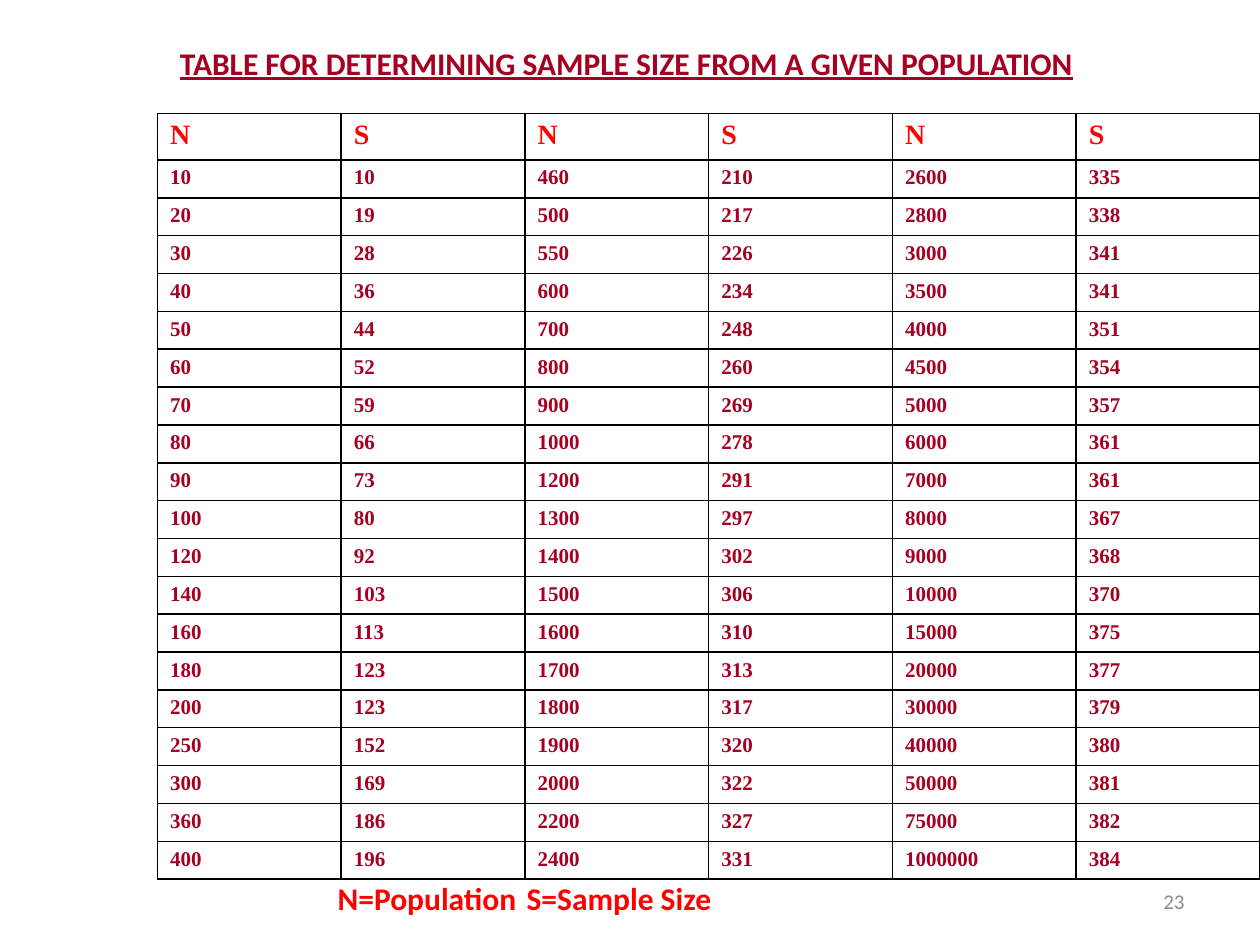
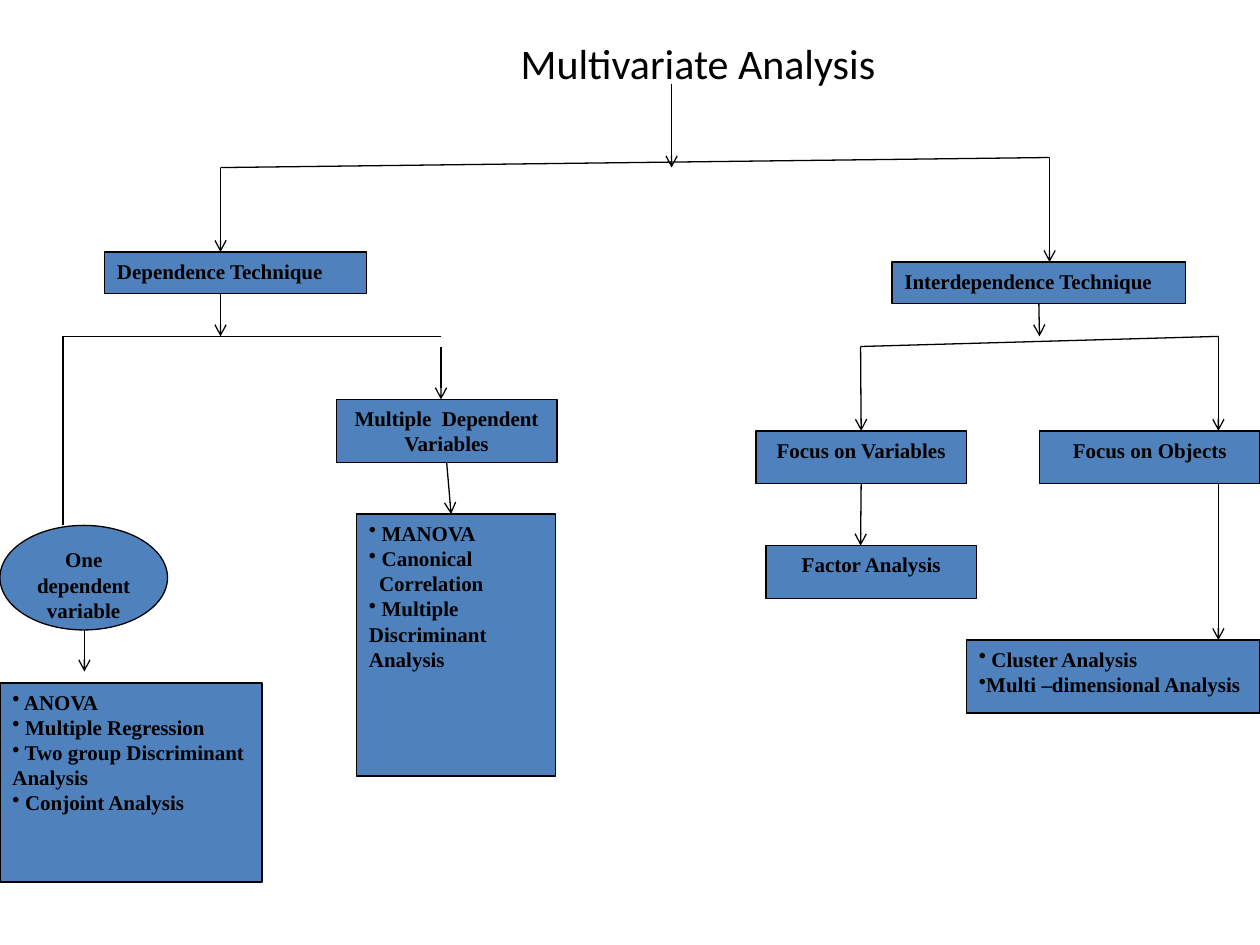
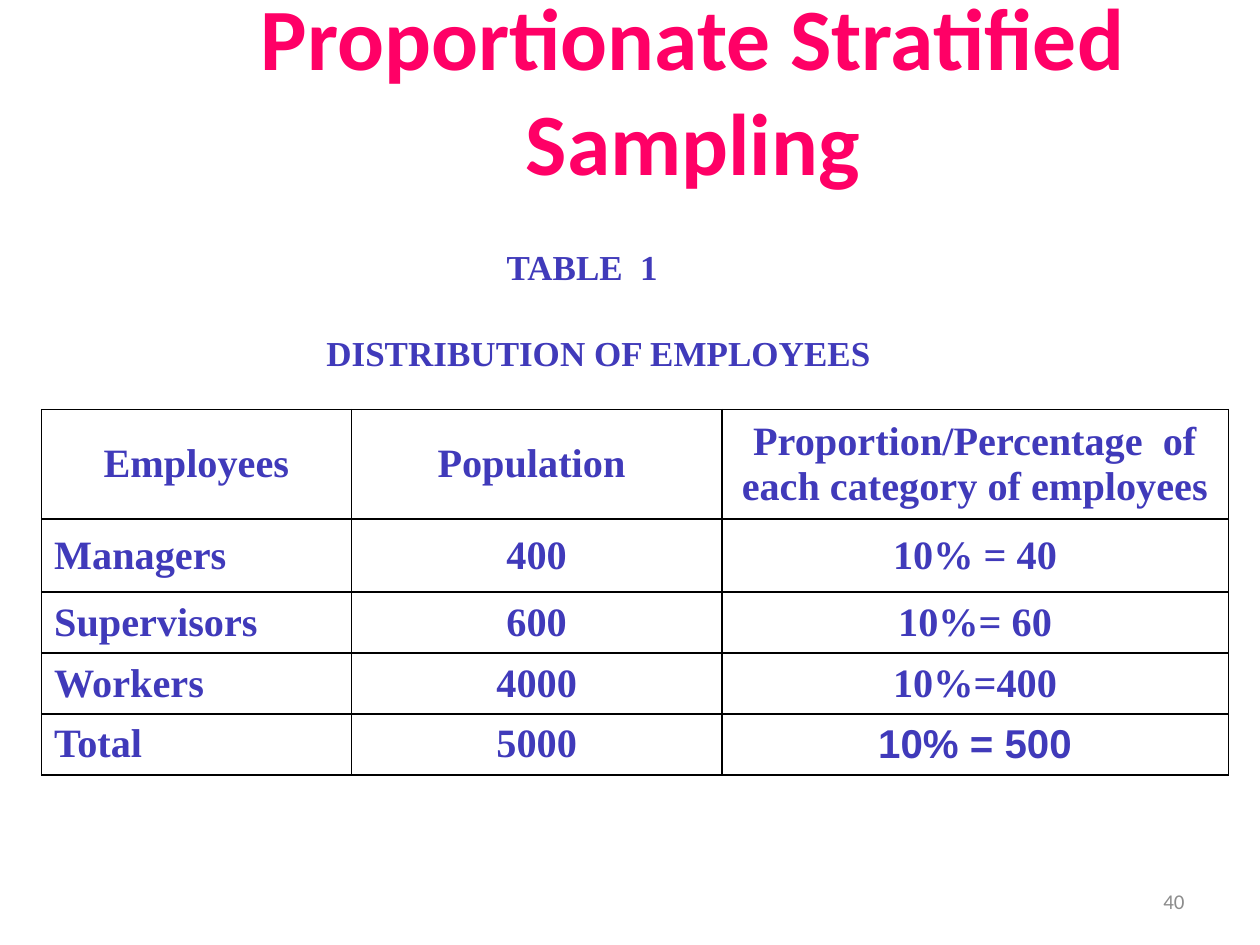
"""Build three research-methods slides: sample sizes, analysis tree, stratified sampling."""
from dataclasses import dataclass

from lxml import etree
from pptx import Presentation
from pptx.dml.color import RGBColor
from pptx.enum.shapes import MSO_CONNECTOR, MSO_SHAPE
from pptx.enum.text import MSO_ANCHOR, PP_ALIGN
from pptx.oxml.ns import qn
from pptx.util import Inches, Pt

LEFT, CENTER, RIGHT = PP_ALIGN.LEFT, PP_ALIGN.CENTER, PP_ALIGN.RIGHT
TOP, MIDDLE, BOTTOM = MSO_ANCHOR.TOP, MSO_ANCHOR.MIDDLE, MSO_ANCHOR.BOTTOM
RECTANGLE, OVAL = MSO_SHAPE.RECTANGLE, MSO_SHAPE.OVAL
STRAIGHT = MSO_CONNECTOR.STRAIGHT
TOP_SIDE, BOTTOM_SIDE = 0, 2


@dataclass(frozen=True)
class Theme:
    """Colours, fonts, type sizes and line widths of the slides."""

    black: str = "000000"
    white: str = "FFFFFF"
    gray: str = "8C8C8C"
    crimson: str = "A50021"
    red: str = "FF0000"
    pink: str = "FF0066"
    indigo: str = "403ABA"
    blue: str = "4F81BD"
    sans: str = "Calibri"
    serif: str = "Times New Roman"
    plain: str = "Arial"
    small: int = 12
    column_head: int = 16
    heading: int = 18
    caption: int = 20
    table_body: int = 23
    diagram_title: int = 24
    display: int = 50
    line_width: float = 0.75
    border_width: float = 1


THEME = Theme()


def rgb(color):
    """Return the colour object for a hex string."""
    return RGBColor.from_string(color)


def add_child(parent, tag, **attributes):
    """Append a DrawingML element and return it."""
    return etree.SubElement(parent, qn(tag), attributes)


def write(frame, text, font=THEME.sans, size=THEME.small, color=THEME.black, bold=False,
          underline=False, align=LEFT, anchor=TOP, wrap=True, margin_left=0.1,
          indents=None, space_after=0, tab=None):
    """Write lines into a text frame; a leading bullet sign makes a list item."""
    frame.word_wrap = wrap
    frame.vertical_anchor = anchor
    frame.margin_left = Inches(margin_left)
    for index, line in enumerate(text.split("\n")):
        paragraph = frame.paragraphs[0] if index == 0 else frame.add_paragraph()
        paragraph.alignment = align
        paragraph.space_after = Pt(space_after)
        properties = paragraph._p.get_or_add_pPr()
        properties.set("marL", str(Inches((indents or {}).get(index, 0))))
        properties.set("indent", "0")
        if line.startswith("•"):
            add_child(properties, "a:buChar", char="•")
        if tab:
            stops = add_child(properties, "a:tabLst")
            add_child(stops, "a:tab", pos=str(Inches(tab)), algn="l")
        run = paragraph.add_run()
        run.text = line.removeprefix("•")
        run.font.name = font
        run.font.size = Pt(size)
        run.font.bold = bold
        run.font.underline = underline
        run.font.color.rgb = rgb(color)


class Deck:
    """Holds the presentation, its theme and the slide being built."""

    def __init__(self, theme):
        """Start an empty presentation of 10 by 7.5 inches."""
        self.theme = theme
        self.presentation = Presentation()
        self.presentation.slide_width = Inches(10)
        self.presentation.slide_height = Inches(7.5)
        self.slide = None

    def new_slide(self, number=None):
        """Add a blank slide, with a page number if one is given."""
        self.slide = self.presentation.slides.add_slide(self.presentation.slide_layouts[6])
        if number:
            self.text((7.17, 6.95, 2.33, 0.4), number, color=self.theme.gray,
                      align=RIGHT, anchor=MIDDLE)

    def text(self, bounds, text, fill=None, **text_format):
        """Add a text box."""
        shape = self.slide.shapes.add_textbox(*map(Inches, bounds))
        if fill:
            shape.fill.solid()
            shape.fill.fore_color.rgb = rgb(fill)
        write(shape.text_frame, text, **text_format)

    def node(self, bounds, text, kind=RECTANGLE, **text_format):
        """Add a filled diagram node and return it."""
        shape = self.slide.shapes.add_shape(kind, *map(Inches, bounds))
        shape.shadow.inherit = False
        shape.fill.solid()
        shape.fill.fore_color.rgb = rgb(self.theme.blue)
        shape.line.color.rgb = rgb(self.theme.black)
        shape.line.width = Pt(self.theme.line_width)
        write(shape.text_frame, text, font=self.theme.serif, bold=True, **text_format)
        return shape

    def line(self, start, end, arrow=True, begin=None, finish=None):
        """Add a straight line, joined to (shape, site) pairs where given."""
        connector = self.slide.shapes.add_connector(STRAIGHT, *map(Inches, start + end))
        if begin:
            connector.begin_connect(*begin)
        if finish:
            connector.end_connect(*finish)
        connector.line.color.rgb = rgb(self.theme.black)
        connector.line.width = Pt(self.theme.line_width)
        if arrow:
            add_child(connector.line._get_or_add_ln(), "a:tailEnd", type="arrow")
        add_child(connector._element.spPr, "a:effectLst")

    def table(self, left, top, widths, heights, rows, cell_format):
        """Add a ruled table; cell_format gives the text format by row and column."""
        frame = self.slide.shapes.add_table(
            len(rows), len(widths), Inches(left), Inches(top),
            Inches(sum(widths)), Inches(sum(heights)))
        table = frame.table
        table.first_row = table.horz_banding = False
        for column, width in zip(table.columns, widths):
            column.width = Inches(width)
        for row, height in zip(table.rows, heights):
            row.height = Inches(height)
        for row_index, values in enumerate(rows):
            for column_index, value in enumerate(values):
                cell = table.cell(row_index, column_index)
                text_format = {"font": self.theme.serif, "bold": True,
                               **cell_format(row_index, column_index)}
                cell.vertical_anchor = text_format.pop("anchor", TOP)
                write(cell.text_frame, value, anchor=cell.vertical_anchor, **text_format)
                self.rule(cell)
                cell.fill.solid()
                cell.fill.fore_color.rgb = rgb(self.theme.white)

    def rule(self, cell):
        """Draw the four borders of a table cell."""
        properties = cell._tc.get_or_add_tcPr()
        for side in ("a:lnL", "a:lnR", "a:lnT", "a:lnB"):
            border = add_child(properties, side, w=str(Pt(self.theme.border_width)))
            add_child(add_child(border, "a:solidFill"), "a:srgbClr", val=self.theme.black)


SAMPLE_COLUMNS = (
    "N 10 20 30 40 50 60 70 80 90 100 120 140 160 180 200 250 300 360 400",
    "S 10 19 28 36 44 52 59 66 73 80 92 103 113 123 123 152 169 186 196",
    "N 460 500 550 600 700 800 900 1000 1200 1300 1400 1500 1600 1700 1800 1900 2000 2200 2400",
    "S 210 217 226 234 248 260 269 278 291 297 302 306 310 313 317 320 322 327 331",
    "N 2600 2800 3000 3500 4000 4500 5000 6000 7000 8000 9000 10000 15000 20000 30000 40000"
    " 50000 75000 1000000",
    "S 335 338 341 341 351 354 357 361 361 367 368 370 375 377 379 380 381 382 384",
)

EMPLOYEE_ROWS = (
    ("Employees", "Population ", "Proportion/Percentage  of each category of employees"),
    ("Managers", "400", "10% = 40"),
    ("Supervisors", "600", "10%= 60"),
    ("Workers", "4000", "10%=400"),
    ("Total", "5000", "10% = 500"),
)


def sample_size_slide(deck):
    """Build the table of sample sizes by population."""
    theme = deck.theme

    def cell_format(row, column):
        """Make the column heads larger and brighter than the values."""
        if row == 0:
            return {"size": theme.column_head, "color": theme.red}
        return {"color": theme.crimson}

    deck.new_slide("23")
    deck.text((1.33, 0.3, 7.36, 0.71),
              "TABLE FOR DETERMINING SAMPLE SIZE FROM A GIVEN POPULATION",
              fill=theme.white, size=theme.heading, color=theme.crimson, bold=True,
              underline=True, wrap=False)
    rows = list(zip(*(column.split() for column in SAMPLE_COLUMNS)))
    deck.table(1.25, 0.9, [8.75 / 6] * 6, [0.37] + [0.3] * 19, rows, cell_format)
    deck.text((2.08, 6.93, 6, 0.4), "N=Population\tS=Sample Size", size=theme.heading,
              color=theme.red, bold=True, anchor=MIDDLE, margin_left=0.6, tab=3.5)


def multivariate_slide(deck):
    """Build the tree of multivariate techniques."""
    deck.new_slide()
    deck.text((1.08, 0.25, 8.92, 7.25), "Multivariate Analysis",
              size=deck.theme.diagram_title, align=CENTER)

    deck.node((0.83, 2, 2.08, 0.33), "Dependence Technique")
    interdependence = deck.node((7.08, 2.08, 2.33, 0.33), "Interdependence Technique")
    multiple = deck.node((2.67, 3.17, 1.75, 0.5), "Multiple  Dependent Variables", align=CENTER)
    deck.node((2.83, 4.08, 1.58, 2.08),
              "• MANOVA\n• Canonical\nCorrelation\n• Multiple Discriminant Analysis",
              indents={2: 0.08})
    deck.node((0, 4.17, 1.33, 0.83), "One dependent variable", kind=OVAL, align=CENTER)
    deck.node((0, 5.42, 2.08, 1.58),
              "• ANOVA\n• Multiple Regression\n• Two group Discriminant Analysis"
              "\n• Conjoint Analysis")
    variables = deck.node((6, 3.42, 1.67, 0.42), "Focus on Variables", align=CENTER)
    deck.node((8.25, 3.42, 1.75, 0.42), "Focus on Objects", align=CENTER)
    deck.node((6.08, 4.33, 1.67, 0.42), "Factor Analysis", align=CENTER)
    deck.node((7.67, 5.08, 2.33, 0.58), "• Cluster Analysis\n•Multi –dimensional Analysis")

    for start, end in (
        ((1.75, 1.33), (8.33, 1.25)),
        ((0.5, 2.67), (3.5, 2.67)),
        ((0.5, 2.67), (0.5, 4.17)),
        ((6.83, 2.75), (9.67, 2.67)),
    ):
        deck.line(start, end, arrow=False)
    for x, top, bottom in (
        (5.33, 0.67, 1.33), (1.75, 1.33, 2), (8.33, 1.25, 2.08), (1.75, 2.33, 2.67),
        (3.5, 2.75, 3.17), (0.67, 5, 5.33), (9.67, 2.67, 3.42), (9.67, 3.83, 5.08),
    ):
        deck.line((x, top), (x, bottom))
    deck.line((8.25, 2.41), (8.25, 2.67), begin=(interdependence, BOTTOM_SIDE))
    deck.line((3.54, 3.67), (3.58, 4.08), begin=(multiple, BOTTOM_SIDE))
    deck.line((6.83, 2.75), (6.83, 3.42), finish=(variables, TOP_SIDE))
    deck.line((6.83, 3.84), (6.83, 4.33), begin=(variables, BOTTOM_SIDE))


def stratified_slide(deck):
    """Build the proportionate sampling table."""
    theme = deck.theme

    def cell_format(row, column):
        """Centre all but the row labels and set the grand total in its own font."""
        is_label = row > 0 and column == 0
        is_grand_total = (row, column) == (4, 2)
        return {"size": theme.table_body, "color": theme.indigo, "anchor": MIDDLE,
                "align": LEFT if is_label else CENTER,
                "font": theme.plain if is_grand_total else theme.serif}

    deck.new_slide("40")
    deck.text((1.5, 0.33, 8, 1.25), "Proportionate Stratified Sampling", size=theme.display,
              color=theme.pink, bold=True, align=CENTER, anchor=BOTTOM)
    deck.text((2.02, 1.62, 5.89, 1.67), "TABLE  1\nDISTRIBUTION OF EMPLOYEES",
              font=theme.serif, size=theme.caption, color=theme.indigo, bold=True,
              anchor=MIDDLE, margin_left=0, indents={0: 2, 1: 0.57}, space_after=25)
    deck.table(0.33, 3.25, [2.46, 2.94, 4.02], [0.87, 0.58] + [0.48] * 3,
               EMPLOYEE_ROWS, cell_format)


def main():
    """Build and save the presentation."""
    deck = Deck(THEME)
    sample_size_slide(deck)
    multivariate_slide(deck)
    stratified_slide(deck)
    deck.presentation.save("out.pptx")


if __name__ == "__main__":
    main()
